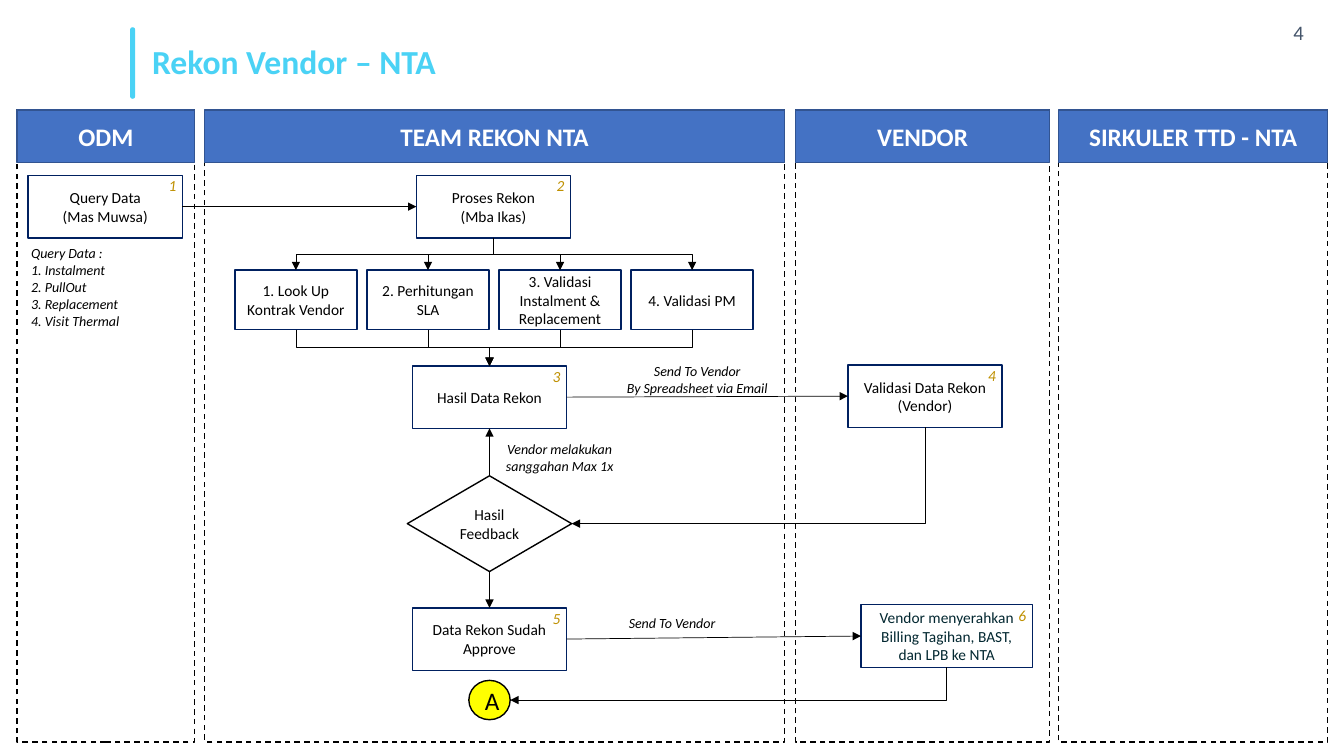
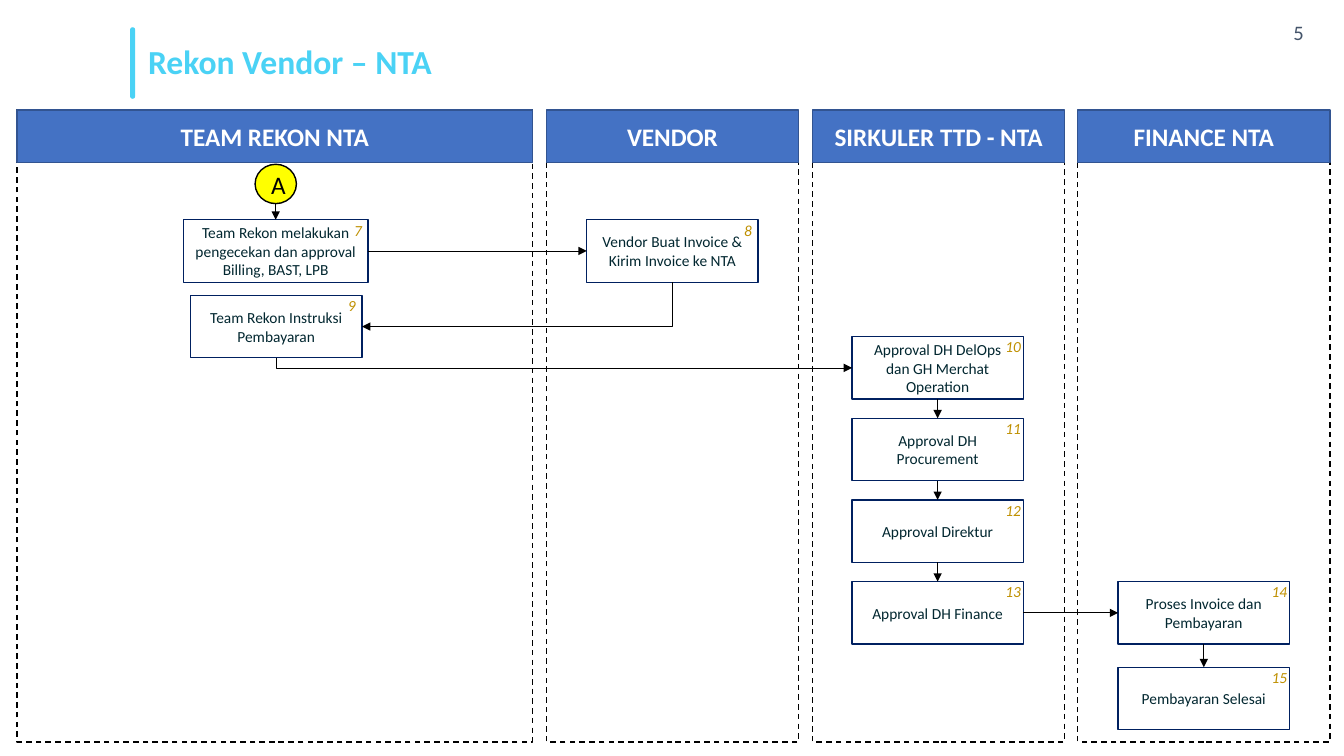
from dataclasses import dataclass

from lxml import etree
from pptx import Presentation
from pptx.dml.color import RGBColor
from pptx.enum.dml import MSO_LINE
from pptx.enum.shapes import MSO_CONNECTOR, MSO_SHAPE
from pptx.enum.text import MSO_ANCHOR, PP_ALIGN
from pptx.oxml.ns import qn
from pptx.util import Inches, Pt

RECTANGLE, DIAMOND, OVAL = MSO_SHAPE.RECTANGLE, MSO_SHAPE.DIAMOND, MSO_SHAPE.OVAL
LEFT, CENTER, RIGHT = PP_ALIGN.LEFT, PP_ALIGN.CENTER, PP_ALIGN.RIGHT
TOP, MIDDLE, BOTTOM = MSO_ANCHOR.TOP, MSO_ANCHOR.MIDDLE, MSO_ANCHOR.BOTTOM


@dataclass(frozen=True)
class Theme:
    font: str = "Calibri"
    accent: str = "4AD2F5"
    page_number: str = "44546A"
    header: str = "4472C4"
    header_line: str = "325491"
    box_line: str = "002060"
    step_number: str = "BF9000"
    badge: str = "FFFF00"
    dark: str = "022730"
    black: str = "000000"
    white: str = "FFFFFF"
    title_size: float = 24
    header_size: float = 18
    page_size: float = 14.7
    box_size: float = 11
    note_size: float = 10


THEME = Theme()
LANE_TOP, LANE_HEIGHT, HEADER_HEIGHT = 1.09, 6.27, 0.52
STEP_LEFT, STEP_PITCH = 2.33, 1.31
APPROVAL_TOP, APPROVAL_PITCH = 3.34, 0.81


@dataclass
class Node:
    text: str
    left: float
    top: float
    width: float = 1.53
    height: float = 0.62
    number: str = ""
    color: str = THEME.black
    geometry: int = RECTANGLE
    fill: str = THEME.white
    line: str = THEME.box_line
    size: float = THEME.box_size


def badge(left, top):
    return Node("A", left, top, 0.41, 0.39, geometry=OVAL, fill=THEME.badge,
                line=THEME.black, size=THEME.header_size)


def wide(text, left, top, number, width=1.7):
    return Node(text, left, top, width, number=number, color=THEME.dark)


STEPS = ["1. Look Up Kontrak Vendor", "2. Perhitungan SLA",
         "3. Validasi Instalment & Replacement", "4. Validasi PM"]
APPROVALS = ["Approval DH DelOps dan GH Merchat Operation", "Approval DH Procurement",
             "Approval Direktur", "Approval DH Finance"]

step_nodes = {
    f"step {index}": Node(text, STEP_LEFT + index * STEP_PITCH, 2.68, 1.21, 0.59)
    for index, text in enumerate(STEPS)
}
approval_nodes = {
    f"approval {index}": wide(text, 8.45, APPROVAL_TOP + index * APPROVAL_PITCH,
                              str(10 + index))
    for index, text in enumerate(APPROVALS)
}
approval_names = list(approval_nodes)

SLIDES = [
    {
        "title": "Rekon Vendor – NTA",
        "title_left": 1.41,
        "page": "4",
        "lanes": [("ODM", 0.17, 1.76), ("TEAM REKON NTA", 2.03, 5.75),
                  ("VENDOR", 7.89, 2.52), ("SIRKULER TTD - NTA", 10.5, 2.67)],
        "nodes": {
            "query": Node("Query Data\n(Mas Muwsa)", 0.28, 1.74, number="1"),
            "process": Node("Proses Rekon\n(Mba Ikas)", 4.13, 1.74, number="2"),
            **step_nodes,
            "result": Node("Hasil Data Rekon", 4.09, 3.63, number="3"),
            "validation": Node("Validasi Data Rekon\n(Vendor)", 8.41, 3.62, number="4"),
            "feedback": Node("Hasil Feedback", 4.04, 4.72, 1.63, 0.95,
                             geometry=DIAMOND, line=THEME.black),
            "approved": Node("Data Rekon Sudah Approve", 4.09, 6.03, number="5"),
            "billing": wide("Vendor menyerahkan Billing Tagihan, BAST, dan LPB ke NTA",
                            8.54, 6, "6"),
            "badge": badge(4.65, 6.75),
        },
        "links": [
            ("query", "right", "process", "left"),
            *[("process", "bottom", step, "top") for step in step_nodes],
            *[(step, "bottom", "result", "top") for step in step_nodes],
            ("result", "right", "validation", "left"),
            ("validation", "bottom", "feedback", "right"),
            ("feedback", "top", "result", "bottom"),
            ("feedback", "bottom", "approved", "top"),
            ("approved", "right", "billing", "left"),
            ("billing", "bottom", "badge", "right"),
        ],
        "notes": [
            ("Send To Vendor\nBy Spreadsheet via Email", 5.87, 3.55, 2.09, 0.44, CENTER),
            ("Vendor melakukan sanggahan Max 1x", 4.81, 4.32, 1.48, 0.44, CENTER),
            ("Send To Vendor", 5.62, 6.05, 2.09, 0.27, CENTER),
            ("Query Data :\n1. Instalment\n2. PullOut\n3. Replacement\n4. Visit Thermal",
             0.21, 2.38, 1.31, 0.94, LEFT),
        ],
    },
    {
        "title": "Rekon Vendor – NTA",
        "title_left": 1.37,
        "page": "5",
        "lanes": [("TEAM REKON NTA", 0.17, 5.11), ("VENDOR", 5.42, 2.5),
                  ("SIRKULER TTD - NTA", 8.06, 2.5), ("FINANCE NTA", 10.69, 2.5)],
        "nodes": {
            "badge": badge(2.53, 1.63),
            "check": wide("Team Rekon melakukan pengecekan dan approval Billing, BAST, LPB",
                          1.82, 2.18, "7", 1.83),
            "invoice": wide("Vendor Buat Invoice & Kirim Invoice ke NTA", 5.82, 2.18, "8"),
            "instruction": wide("Team Rekon Instruksi Pembayaran", 1.89, 2.93, "9"),
            **approval_nodes,
            "payment": wide("Proses Invoice dan Pembayaran", 11.09,
                            APPROVAL_TOP + 3 * APPROVAL_PITCH, "14"),
            "done": wide("Pembayaran Selesai", 11.09, 6.62, "15"),
        },
        "links": [
            ("badge", "bottom", "check", "top"),
            ("check", "right", "invoice", "left"),
            ("invoice", "bottom", "instruction", "right"),
            ("instruction", "bottom", approval_names[0], "left"),
            *[(upper, "bottom", lower, "top")
              for upper, lower in zip(approval_names, approval_names[1:])],
            (approval_names[-1], "right", "payment", "left"),
            ("payment", "bottom", "done", "top"),
        ],
        "notes": [],
    },
]

# Side of a shape: connection site on a rectangle, and its place as shares of the size
SIDES = {"top": (0, 0.5, 0), "left": (1, 0, 0.5),
         "bottom": (2, 0.5, 1), "right": (3, 1, 0.5)}


def rgb(color):
    return RGBColor.from_string(color)


def write(shape, text, size, color, align=CENTER, anchor=MIDDLE,
          bold=False, italic=False, spacing=None):
    frame = shape.text_frame
    frame.word_wrap = True
    frame.vertical_anchor = anchor
    frame.text = text
    for paragraph in frame.paragraphs:
        paragraph.alignment = align
        if spacing:
            paragraph.line_spacing = spacing
        font = paragraph.font
        font.name, font.size, font.color.rgb = THEME.font, Pt(size), rgb(color)
        font.bold, font.italic = bold, italic


def add_shape(slide, geometry, left, top, width, height, fill=None, line=None, dashed=False):
    shape = slide.shapes.add_shape(geometry, Inches(left), Inches(top),
                                   Inches(width), Inches(height))
    shape.shadow.inherit = False
    if fill:
        shape.fill.solid()
        shape.fill.fore_color.rgb = rgb(fill)
    else:
        shape.fill.background()
    if line:
        shape.line.color.rgb = rgb(line)
        shape.line.width = Pt(1)
        if dashed:
            shape.line.dash_style = MSO_LINE.DASH
    else:
        shape.line.fill.background()
    return shape


def add_text(slide, text, left, top, width, height, size, color, **style):
    box = slide.shapes.add_textbox(Inches(left), Inches(top), Inches(width), Inches(height))
    write(box, text, size, color, **style)


def add_frame(slide, title, title_left, page):
    bar = add_shape(slide, MSO_SHAPE.ROUNDED_RECTANGLE, 1.29, 0.27, 0.05, 0.71, THEME.accent)
    bar.adjustments[0] = 0.5
    add_text(slide, page, 11.26, 0.15, 1.77, 0.19, THEME.page_size, THEME.page_number,
             align=RIGHT, anchor=TOP)
    add_text(slide, title, title_left, 0.47, 9.56, 0.39, THEME.title_size, THEME.accent,
             align=LEFT, anchor=BOTTOM, bold=True, spacing=0.9)


def add_lane(slide, name, left, width):
    add_shape(slide, RECTANGLE, left, LANE_TOP, width, LANE_HEIGHT,
              line=THEME.black, dashed=True)
    header = add_shape(slide, RECTANGLE, left, LANE_TOP, width, HEADER_HEIGHT,
                       THEME.header, THEME.header_line)
    write(header, name, THEME.header_size, THEME.white, bold=True)


def add_node(slide, node):
    shape = add_shape(slide, node.geometry, node.left, node.top, node.width, node.height,
                      node.fill, node.line)
    write(shape, node.text, node.size, node.color)
    return shape


def add_step_number(slide, node):
    """Put the step number in the top right corner of its box."""
    width = 0.35 if len(node.number) == 1 else 0.5
    center = node.left + node.width - 0.1
    add_text(slide, node.number, center - width / 2, node.top - 0.04, width, 0.29,
             THEME.box_size, THEME.step_number, anchor=TOP, italic=True)


def site_point(shape, side):
    _, across, down = SIDES[side]
    return (int(shape.left + shape.width * across), int(shape.top + shape.height * down))


def glue(element, shape, side):
    """Tie a connector end to a shape; an oval has twice as many sites."""
    factor = 2 if shape.auto_shape_type == OVAL else 1
    element.set("id", str(shape.shape_id))
    element.set("idx", str(SIDES[side][0] * factor))


def add_link(slide, start, start_side, end, end_side):
    """Draw an arrow: straight, or leaving downwards with one or two bends."""
    x1, y1 = site_point(start, start_side)
    x2, y2 = site_point(end, end_side)
    bent = start_side == "bottom" and abs(x2 - x1) > Inches(0.1)
    if bent:
        # The box is laid out sideways around its centre, then turned
        width, height = y2 - y1, abs(x2 - x1)
        left, top = (x1 + x2 - width) // 2, (y1 + y2 - height) // 2
        connector = slide.shapes.add_connector(MSO_CONNECTOR.ELBOW, left, top,
                                               left + width, top + height)
        properties = connector._element.spPr
        transform = properties.find(qn("a:xfrm"))
        transform.set("rot", str((90 if x2 < x1 else 270) * 60000))
        if x2 > x1:
            transform.set("flipH", "1")
        if end_side != "top":
            properties.find(qn("a:prstGeom")).set("prst", "bentConnector2")
    else:
        connector = slide.shapes.add_connector(MSO_CONNECTOR.STRAIGHT, x1, y1, x2, y2)
        properties = connector._element.spPr
    ends = connector._element.nvCxnSpPr.cNvCxnSpPr
    glue(ends.get_or_add_stCxn(), start, start_side)
    glue(ends.get_or_add_endCxn(), end, end_side)
    connector.line.color.rgb = rgb(THEME.black)
    connector.line.width = Pt(0.5)
    etree.SubElement(properties.find(qn("a:ln")), qn("a:tailEnd"), type="triangle")
    etree.SubElement(properties, qn("a:effectLst"))


def build_slide(presentation, content):
    slide = presentation.slides.add_slide(presentation.slide_layouts[6])
    add_frame(slide, content["title"], content["title_left"], content["page"])
    for lane in content["lanes"]:
        add_lane(slide, *lane)
    nodes = content["nodes"]
    shapes = {name: add_node(slide, node) for name, node in nodes.items()}
    for start, start_side, end, end_side in content["links"]:
        add_link(slide, shapes[start], start_side, shapes[end], end_side)
    for text, left, top, width, height, align in content["notes"]:
        add_text(slide, text, left, top, width, height, THEME.note_size, THEME.black,
                 align=align, anchor=TOP, italic=True)
    for node in nodes.values():
        if node.number:
            add_step_number(slide, node)


def main():
    presentation = Presentation()
    presentation.slide_width, presentation.slide_height = Inches(13.33), Inches(7.5)
    for content in SLIDES:
        build_slide(presentation, content)
    presentation.save("out.pptx")


if __name__ == "__main__":
    main()
